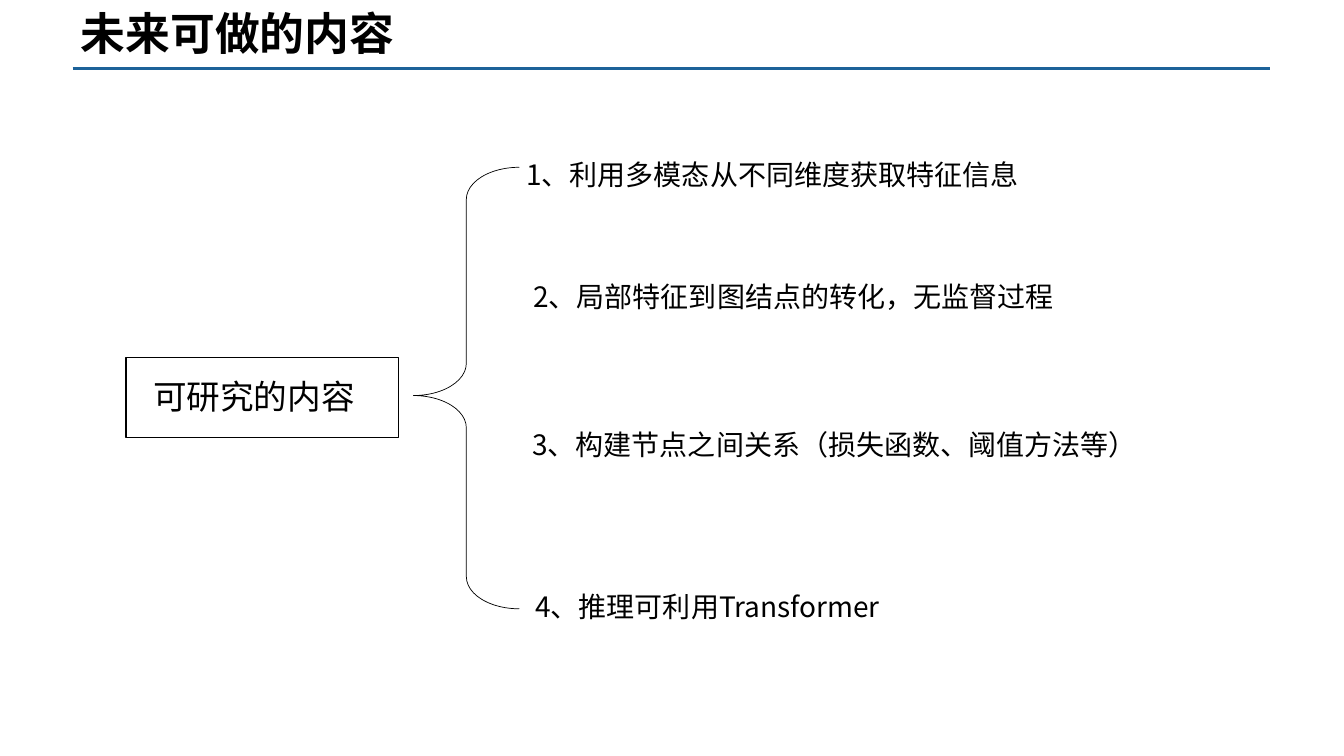
"""Build the slide on possible future research content."""
from dataclasses import dataclass

from lxml.etree import SubElement
from pptx import Presentation
from pptx.dml.color import RGBColor
from pptx.enum.shapes import MSO_CONNECTOR, MSO_SHAPE
from pptx.enum.text import MSO_ANCHOR, MSO_AUTO_SIZE
from pptx.oxml.ns import qn
from pptx.shapes.autoshape import Shape
from pptx.slide import Slide
from pptx.util import Inches, Pt


@dataclass(frozen=True)
class Theme:
    """Colours, fonts and type sizes of the slide."""

    ink: RGBColor = RGBColor(0x00, 0x00, 0x00)
    rule: RGBColor = RGBColor(0x1C, 0x62, 0x99)
    title_font: str = "Arial"
    body_font: str = "Noto Sans CJK SC"
    title_size: int = 32
    topic_size: int = 24
    item_size: int = 20


@dataclass(frozen=True)
class Box:
    """A rectangle in inches."""

    left: float
    top: float
    width: float
    height: float

    def emu(self) -> tuple[int, int, int, int]:
        """Return the rectangle as slide lengths."""
        return (Inches(self.left), Inches(self.top),
                Inches(self.width), Inches(self.height))


@dataclass(frozen=True)
class Label:
    """One line of text and the box that holds it."""

    text: str
    box: Box
    size: int


THEME = Theme()
TITLE = Label("未来可做的内容", Box(0.8, -0.24, 5.94, 0.89), THEME.title_size)
TOPIC = Label("可研究的内容", Box(1.42, 3.68, 2.52, 0.5), THEME.topic_size)
ITEMS = [
    Label(text, Box(left, top, width, 0.44), THEME.item_size)
    for text, left, top, width in (
        ("1、利用多模态从不同维度获取特征信息", 5.12, 1.51, 6.35),
        ("2、局部特征到图结点的转化，无监督过程", 5.19, 2.72, 5.56),
        ("3、构建节点之间关系（损失函数、阈值方法等）", 5.18, 4.19, 6.31),
        ("4、推理可利用Transformer", 5.21, 5.8, 6.35),
    )
]
TOPIC_FRAME = Box(1.25, 3.55, 2.7, 0.79)
BRACE = Box(4.1, 1.66, 1.05, 4.38)


def add_label(s: Slide, label: Label, font: str, bold: bool = False) -> Shape:
    """Add a wrapped text box holding one run."""
    sp = s.shapes.add_textbox(*label.box.emu())
    tf = sp.text_frame
    tf.word_wrap = True
    r = tf.paragraphs[0].add_run()
    r.text = label.text
    r.font.name = font
    r.font.size = Pt(label.size)
    r.font.bold = bold
    r.font.color.rgb = THEME.ink
    SubElement(r.font._element, qn("a:ea"), typeface=THEME.body_font)
    return sp


def add_title(s: Slide) -> None:
    """Add the heading and the rule beneath it."""
    line = s.shapes.add_connector(MSO_CONNECTOR.STRAIGHT, Inches(0.72),
                                  Inches(0.68), Inches(12.6), Inches(0.68))
    line.line.color.rgb = THEME.rule
    line.line.width = Pt(1.75)
    SubElement(line._element.spPr, qn("a:effectLst"))
    tf = add_label(s, TITLE, THEME.title_font, bold=True).text_frame
    tf.vertical_anchor = MSO_ANCHOR.BOTTOM
    tf.margin_left = 0
    tf.paragraphs[0].line_spacing = 0.9


def add_outline(s: Slide, kind: MSO_SHAPE, box: Box, width: float) -> Shape:
    """Add an unfilled shape with a thin dark line."""
    sp = s.shapes.add_shape(kind, *box.emu())
    sp.shadow.inherit = False
    sp.fill.background()
    sp.line.color.rgb = THEME.ink
    sp.line.width = Pt(width)
    return sp


def main() -> None:
    """Build and save the presentation."""
    prs = Presentation()
    prs.slide_width, prs.slide_height = Inches(13.33), Inches(7.5)
    s = prs.slides.add_slide(prs.slide_layouts[6])
    add_title(s)
    brace = add_outline(s, MSO_SHAPE.LEFT_BRACE, BRACE, 0.5)
    brace.adjustments[0] = 0.304
    brace.adjustments[1] = 0.517
    add_outline(s, MSO_SHAPE.RECTANGLE, TOPIC_FRAME, 0.75)
    for label in (TOPIC, *ITEMS):
        sp = add_label(s, label, THEME.body_font)
        sp.text_frame.auto_size = MSO_AUTO_SIZE.SHAPE_TO_FIT_TEXT
    prs.save("out.pptx")


if __name__ == "__main__":
    main()
